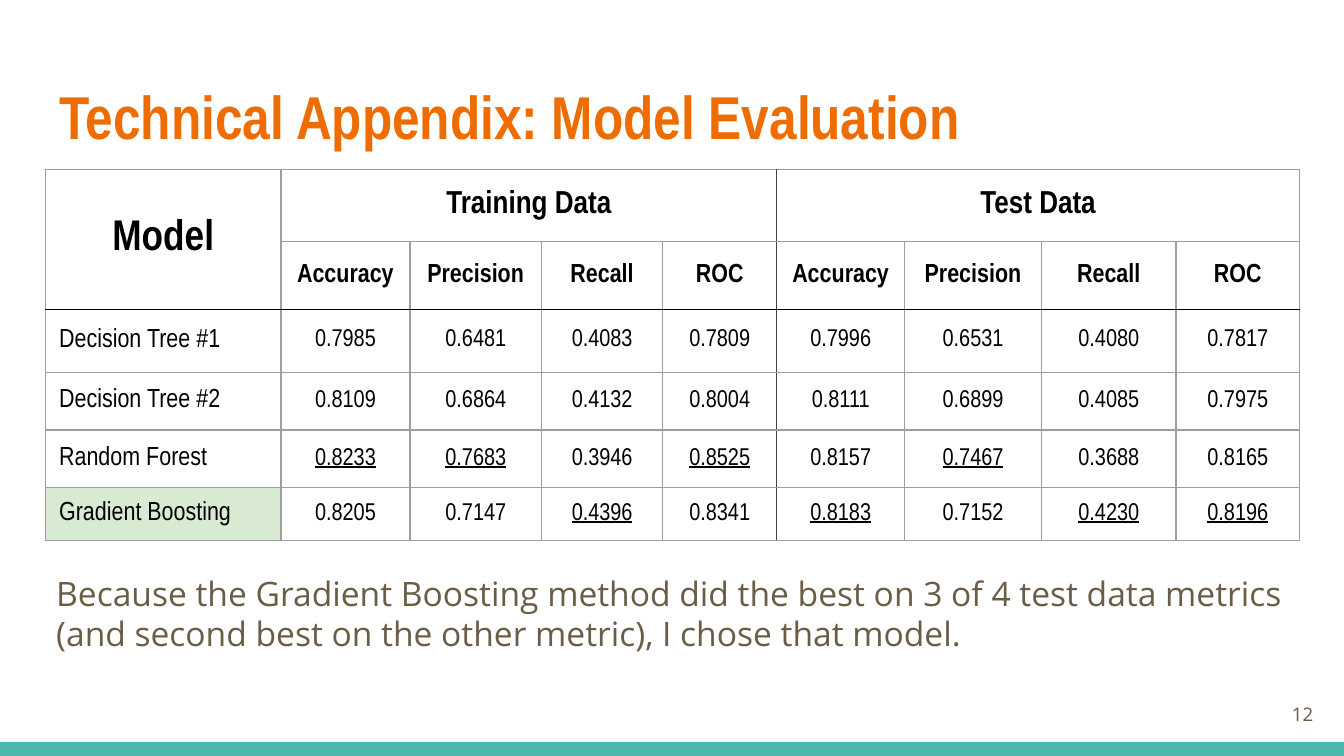
from dataclasses import dataclass

from lxml.etree import SubElement
from pptx import Presentation
from pptx.dml.color import RGBColor as RGB
from pptx.enum.shapes import MSO_SHAPE as Shape
from pptx.enum.text import MSO_ANCHOR as Anchor, MSO_AUTO_SIZE as AutoSize, PP_ALIGN as Align
from pptx.oxml import parse_xml
from pptx.oxml.ns import nsdecls, qn
from pptx.util import Inches, Pt


@dataclass(frozen=True)
class Theme:
    heading: str = "Arial Narrow"
    body: str = "Open Sans"
    orange: str = "EF6C00"
    brown: str = "695D46"
    teal: str = "4DB6AC"
    green: str = "D9EAD3"
    black: str = "000000"
    grid: str = "9E9E9E"
    divider: str = "434343"
    title_size: float = 32.4
    note_size: float = 18
    number_size: float = 10
    model_size: float = 23
    group_size: float = 17
    label_size: float = 14
    value_size: float = 13


@dataclass(frozen=True)
class ModelScore:
    name: str
    values: tuple[str, ...]
    chosen: bool = False


THEME = Theme()
GROUPS = ("Training Data", "Test Data")
METRICS = ("Accuracy", "Precision", "Recall", "ROC")
SCORES = (
    ModelScore("Decision Tree #1", ("0.7985", "0.6481", "0.4083", "0.7809",
                                    "0.7996", "0.6531", "0.4080", "0.7817")),
    ModelScore("Decision Tree #2", ("0.8109", "0.6864", "0.4132", "0.8004",
                                    "0.8111", "0.6899", "0.4085", "0.7975")),
    ModelScore("Random Forest", ("0.8233", "0.7683", "0.3946", "0.8525",
                                 "0.8157", "0.7467", "0.3688", "0.8165")),
    ModelScore("Gradient Boosting", ("0.8205", "0.7147", "0.4396", "0.8341",
                                     "0.8183", "0.7152", "0.4230", "0.8196"), chosen=True),
)
COLUMNS = (1.75, 0.96, 0.98, 0.9, 0.85, 0.95, 1.02, 1, 0.92)
ROWS = (0.54, 0.5, 0.47, 0.43, 0.43, 0.39)
HEADER_ROWS = 2
TEST_COLUMN = 1 + len(METRICS)


def write(tf, text: str, *, size: float, font: str = THEME.heading, color: str = THEME.black,
          bold: bool = False, underline: bool = False, align=Align.LEFT) -> None:
    p = tf.paragraphs[0]
    p.alignment = align
    r = p.add_run()
    r.text = text
    f = r.font
    f.name, f.size, f.bold, f.underline = font, Pt(size), bold, underline
    f.color.rgb = RGB.from_string(color)


def set_frame(tf, anchor=Anchor.TOP) -> None:
    tf.word_wrap = True
    tf.auto_size = AutoSize.NONE
    tf.vertical_anchor = anchor
    tf.margin_left = tf.margin_right = tf.margin_top = tf.margin_bottom = Inches(0.1)


def add_text(s, box: tuple[float, ...], text: str, *, anchor=Anchor.TOP, **style) -> None:
    tf = s.shapes.add_textbox(*map(Inches, box)).text_frame
    set_frame(tf, anchor)
    write(tf, text, **style)


def set_borders(cell, row: int, col: int) -> None:
    """Draw grey rules, with a black one under the header and a dark one before test data."""
    colors = {
        "lnL": THEME.divider if col == TEST_COLUMN else THEME.grid,
        "lnR": THEME.divider if col == TEST_COLUMN - 1 else THEME.grid,
        "lnT": THEME.black if row == HEADER_ROWS else THEME.grid,
        "lnB": THEME.black if row == HEADER_ROWS - 1 else THEME.grid,
    }
    tc_pr = cell._tc.get_or_add_tcPr()
    for i, (side, color) in enumerate(colors.items()):
        ln = parse_xml(f'<a:{side} {nsdecls("a")} w="{Pt(0.75)}"/>')
        fill = SubElement(ln, qn("a:solidFill"))
        SubElement(fill, qn("a:srgbClr"), val=color)
        tc_pr.insert(i, ln)


def add_score_table(s) -> None:
    frame = s.shapes.add_table(len(ROWS), len(COLUMNS), Inches(0.34), Inches(1.26),
                               Inches(sum(COLUMNS)), Inches(sum(ROWS)))
    table = frame.table
    table.first_row = table.horz_banding = False
    for column, width in zip(table.columns, COLUMNS):
        column.width = Inches(width)
    for row, height in zip(table.rows, ROWS):
        row.height = Inches(height)
    for row in range(len(ROWS)):
        for col in range(len(COLUMNS)):
            cell = table.cell(row, col)
            cell.fill.background()
            cell.vertical_anchor = Anchor.MIDDLE
            cell.margin_left = cell.margin_right = Inches(0.1)
            cell.margin_top = cell.margin_bottom = Inches(0.1)
            set_borders(cell, row, col)

    def put(row: int, col: int, text: str, **style) -> None:
        write(table.cell(row, col).text_frame, text, **style)

    header = dict(bold=True, align=Align.CENTER)
    table.cell(0, 0).merge(table.cell(1, 0))
    put(0, 0, "Model", size=THEME.model_size, **header)
    for g, group in enumerate(GROUPS):
        first = 1 + g * len(METRICS)
        table.cell(0, first).merge(table.cell(0, first + len(METRICS) - 1))
        put(0, first, group, size=THEME.group_size, **header)
        for m, metric in enumerate(METRICS):
            put(1, first + m, metric, size=THEME.label_size, **header)

    best = [max(column, key=float) for column in zip(*(score.values for score in SCORES))]
    for row, score in enumerate(SCORES, HEADER_ROWS):
        put(row, 0, score.name, size=THEME.label_size)
        if score.chosen:
            fill = table.cell(row, 0).fill
            fill.solid()
            fill.fore_color.rgb = RGB.from_string(THEME.green)
        for col, (value, top) in enumerate(zip(score.values, best), 1):
            put(row, col, value, size=THEME.value_size, underline=value == top,
                align=Align.CENTER)


def add_bottom_bar(s) -> None:
    sp = s.shapes.add_shape(Shape.RECTANGLE, 0, Inches(5.52), Inches(10), Inches(0.11))
    sp.shadow.inherit = False
    sp.fill.solid()
    sp.fill.fore_color.rgb = RGB.from_string(THEME.teal)
    sp.line.fill.background()


def set_title(s, text: str) -> None:
    title = s.shapes.title
    title.left, title.top, title.width, title.height = map(Inches, (0.34, 0.49, 9.32, 0.77))
    set_frame(title.text_frame)
    write(title.text_frame, text, size=THEME.title_size, color=THEME.orange, bold=True)


def main() -> None:
    prs = Presentation()
    prs.slide_width = Inches(10)
    prs.slide_height = prs.slide_width * 9 // 16
    s = prs.slides.add_slide(prs.slide_layouts.get_by_name("Title Only"))
    add_bottom_bar(s)
    set_title(s, "Technical Appendix: Model Evaluation")
    add_score_table(s)
    add_text(s, (9.27, 5.1, 0.6, 0.43), "12", anchor=Anchor.MIDDLE, size=THEME.number_size,
             font=THEME.body, color=THEME.brown, align=Align.RIGHT)
    add_text(s, (0.32, 4.16, 9.33, 0.85),
             "Because the Gradient Boosting method did the best on 3 of 4 test data metrics "
             "(and second best on the other metric), I chose that model.",
             size=THEME.note_size, font=THEME.body, color=THEME.brown)
    prs.save("out.pptx")


if __name__ == "__main__":
    main()
